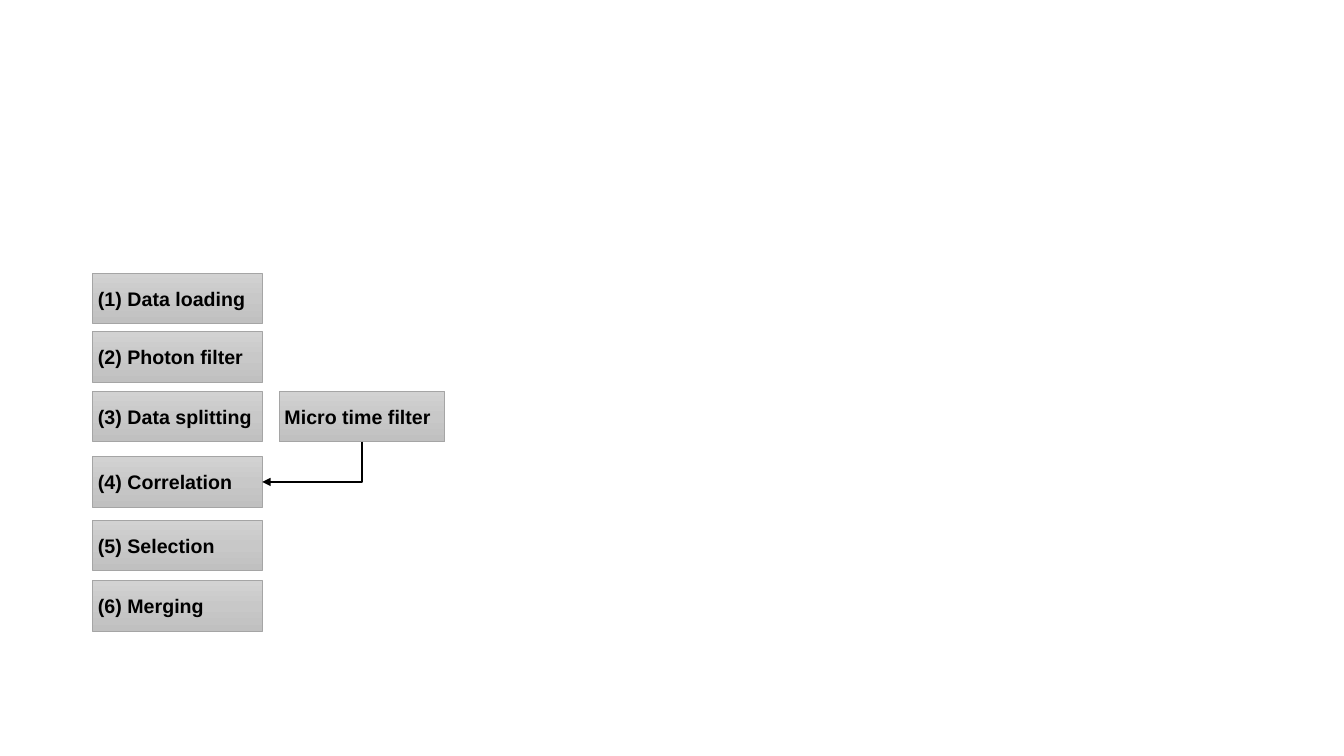
import copy

import pptx
import pptx.dml.color
import pptx.enum.shapes
import pptx.enum.text
import pptx.oxml
import pptx.oxml.ns
import pptx.util

Cm = pptx.util.Cm
Pt = pptx.util.Pt
RGBColor = pptx.dml.color.RGBColor

BLACK = RGBColor(0x00, 0x00, 0x00)
BORDER = RGBColor(0xA5, 0xA5, 0xA5)
GRADIENT = (
    (0, RGBColor(0xD2, 0xD2, 0xD2)),
    (0.5, RGBColor(0xC8, 0xC8, 0xC8)),
    (1, RGBColor(0xC0, 0xC0, 0xC0)),
)
STEP_LEFT, STEP_WIDTH, STEP_HEIGHT = 2.34, 4.27, 1.27
STEPS = (
    ("(1) Data loading", 6.88),
    ("(2) Photon filter", 8.36),
    ("(3) Data splitting", 9.86),
    ("(4) Correlation", 11.51),
    ("(5) Selection", 13.11),
    ("(6) Merging", 14.63),
)
BOTTOM_SITE, RIGHT_SITE = 2, 3


class Workflow:
    """Draws the grey step boxes and arrows of a workflow on one slide."""

    font_name = "Arial"
    font_size = Pt(14)

    def __init__(self, slide):
        self.shapes = slide.shapes.add_group_shape().shapes

    def box(self, label, left, top, width):
        """Add a gradient box with a bold, left-aligned label."""
        step = self.shapes.add_shape(
            pptx.enum.shapes.MSO_SHAPE.RECTANGLE,
            Cm(left), Cm(top), Cm(width), Cm(STEP_HEIGHT))
        step.shadow.inherit = False
        self.shade(step.fill)
        step.line.color.rgb = BORDER
        step.line.width = Pt(0.5)
        frame = step.text_frame
        frame.word_wrap = False
        frame.vertical_anchor = pptx.enum.text.MSO_ANCHOR.MIDDLE
        frame.margin_left = Cm(0.13)
        frame.margin_top = frame.margin_right = frame.margin_bottom = 0
        frame.text = label
        paragraph = frame.paragraphs[0]
        paragraph.alignment = pptx.enum.text.PP_ALIGN.LEFT
        paragraph.font.name = self.font_name
        paragraph.font.size = self.font_size
        paragraph.font.bold = True
        paragraph.font.color.rgb = BLACK
        return step

    def shade(self, fill):
        """Fill from top to bottom with the three grey stops."""
        fill.gradient()
        fill.gradient_angle = 270
        stop_list = fill._xPr.find(".//" + pptx.oxml.ns.qn("a:gsLst"))
        stop_list.insert(1, copy.deepcopy(stop_list[0]))
        for stop, (position, color) in zip(fill.gradient_stops, GRADIENT):
            stop.position = position
            stop.color.rgb = color

    def arrow_down_left(self, source, target):
        """Add an arrow down from the source, then left into the target."""
        start_x, start_y = source.left + source.width // 2, source.top + source.height
        end_x, end_y = target.left + target.width, target.top + target.height // 2
        arrow = self.shapes.add_connector(
            pptx.enum.shapes.MSO_CONNECTOR.ELBOW, start_x, start_y, end_x, end_y)
        arrow.begin_connect(source, BOTTOM_SITE)
        arrow.end_connect(target, RIGHT_SITE)
        arrow.line.color.rgb = BLACK
        arrow.line.width = Pt(1.5)

        run, drop = start_x - end_x, end_y - start_y
        properties = arrow._element.spPr
        properties.find(pptx.oxml.ns.qn("a:prstGeom")).set("prst", "bentConnector2")
        transform = properties.find(pptx.oxml.ns.qn("a:xfrm"))
        transform.attrib.clear()
        transform.set("rot", str(90 * 60000))
        arrow.left = (start_x + end_x - drop) // 2
        arrow.top = (start_y + end_y - run) // 2
        arrow.width, arrow.height = drop, run

        namespace = pptx.oxml.ns.nsdecls("a")
        arrow.line._get_or_add_ln().append(
            pptx.oxml.parse_xml(f'<a:tailEnd {namespace} type="triangle"/>'))
        properties.append(pptx.oxml.parse_xml(f"<a:effectLst {namespace}/>"))


def main():
    """Build the workflow slide and save it."""
    presentation = pptx.Presentation()
    presentation.slide_width = Cm(33.87)
    presentation.slide_height = Cm(19.05)
    workflow = Workflow(presentation.slides.add_slide(presentation.slide_layouts[6]))

    steps = [workflow.box(label, STEP_LEFT, top, STEP_WIDTH) for label, top in STEPS]
    splitting_top = STEPS[2][1]
    correlation = steps[3]
    micro_time_filter = workflow.box("Micro time filter", 7.04, splitting_top, 4.17)
    workflow.arrow_down_left(micro_time_filter, correlation)

    presentation.save("out.pptx")


if __name__ == "__main__":
    main()
